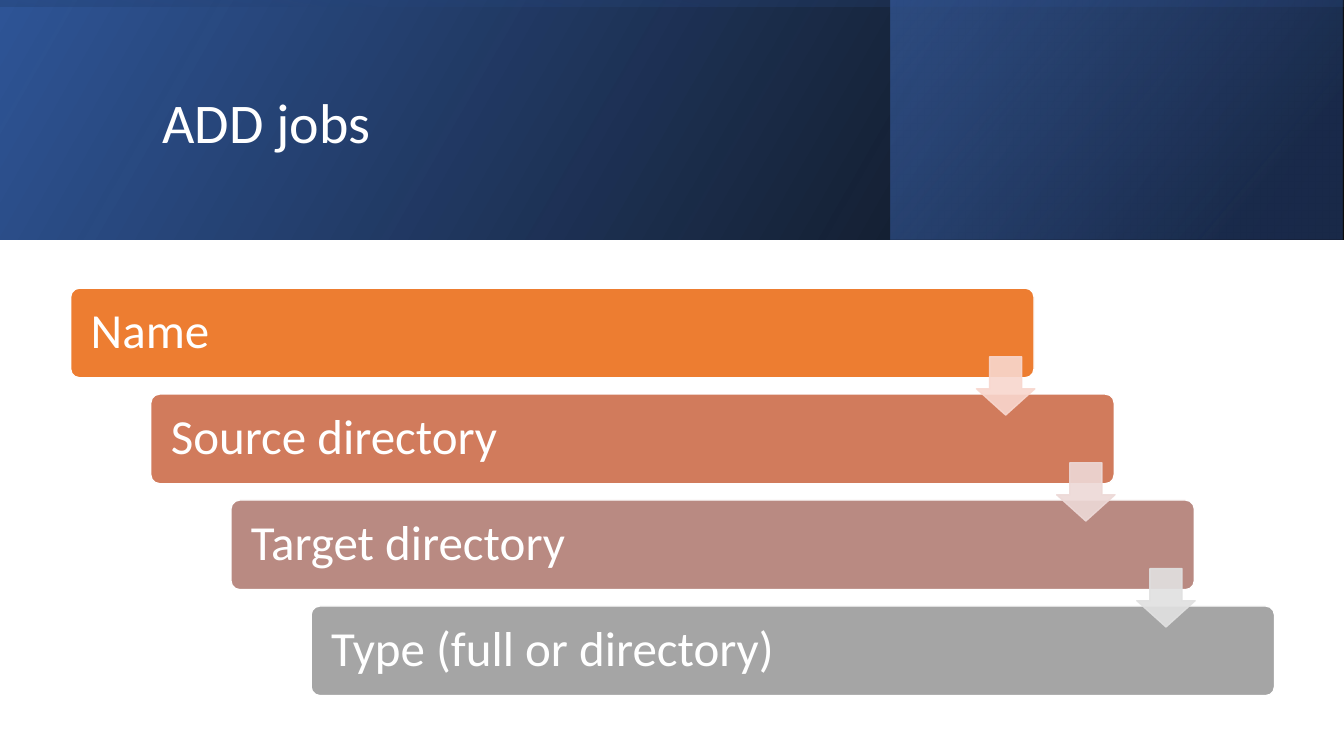
"""Build the "ADD jobs" slide: a gradient banner above a staircase of steps."""
from pptx import Presentation
from pptx.dml.color import RGBColor
from pptx.enum.shapes import MSO_SHAPE as Preset
from pptx.enum.text import MSO_ANCHOR as Anchor, PP_ALIGN as Align
from pptx.oxml.ns import qn
from pptx.oxml.xmlchemy import OxmlElement
from pptx.util import Cm, Pt

WHITE = RGBColor(0xFF, 0xFF, 0xFF)
BLACK = RGBColor(0x00, 0x00, 0x00)
DEEP_BLUE = RGBColor(0x2F, 0x55, 0x97)
NAVY = RGBColor(0x20, 0x38, 0x64)
BLUE = RGBColor(0x44, 0x72, 0xC4)
ORANGE = RGBColor(0xED, 0x7D, 0x31)
TERRACOTTA = RGBColor(0xD1, 0x7B, 0x5C)
ROSE = RGBColor(0xB9, 0x8A, 0x82)
GRAY = RGBColor(0xA5, 0xA5, 0xA5)
PALE_ORANGE = RGBColor(0xF8, 0xD7, 0xCE)
PALE_ROSE = RGBColor(0xED, 0xD9, 0xD7)
PALE_GRAY = RGBColor(0xE1, 0xE1, 0xE1)

SLIDE_WIDTH, SLIDE_HEIGHT, BANNER_HEIGHT = 33.87, 19.05, 6.03
STEP_LEFT, STEP_TOP, STEP_WIDTH, STEP_HEIGHT = 1.78, 7.26, 24.28, 2.26
STEP_RIGHT, STEP_DOWN = 2.02, 2.67
ARROW_RIGHT, ARROW_DOWN, ARROW_SIZE = 22.83, 1.73, 1.47

STEPS = [
    ("Name", ORANGE),
    ("Source directory", TERRACOTTA),
    ("Target directory", ROSE),
    ("Type (full or directory)", GRAY),
]
ARROWS = [PALE_ORANGE, PALE_ROSE, PALE_GRAY]


def set_opacity(element, percent):
    """Give every RGB colour inside the element the opacity."""
    for color in element.iter(qn("a:srgbClr")):
        alpha = OxmlElement("a:alpha")
        alpha.set("val", str(percent * 1000))
        color.append(alpha)


def write_text(text_frame, text, size, anchor=Anchor.MIDDLE):
    """Write one left-aligned white line of text."""
    text_frame.word_wrap = True
    text_frame.vertical_anchor = anchor
    paragraph = text_frame.paragraphs[0]
    paragraph.alignment = Align.LEFT
    paragraph.line_spacing = 0.9
    run = paragraph.add_run()
    run.text = text
    run.font.name = "Calibri"
    run.font.size = Pt(size)
    run.font.color.rgb = WHITE


def add_shape(slide, preset, left, top, width, height):
    """Add a preset shape without shadow, measured in centimetres."""
    shape = slide.shapes.add_shape(preset, Cm(left), Cm(top), Cm(width), Cm(height))
    shape.shadow.inherit = False
    return shape


def add_gradient(slide, left, top, width, height, stops, angle, rotation=0):
    """Add a mirrored rectangle with a two-stop translucent gradient."""
    shape = add_shape(slide, Preset.RECTANGLE, left, top, width, height)
    shape.rotation = rotation
    shape._element.spPr.find(qn("a:xfrm")).set("flipH", "1")
    shape.line.fill.background()
    shape.fill.gradient()
    shape.fill.gradient_angle = angle
    elements = shape._element.spPr.iter(qn("a:gs"))
    for stop, element, values in zip(shape.fill.gradient_stops, elements, stops):
        stop.position, stop.color.rgb, opacity = values
        set_opacity(element, opacity)


def add_banner(slide):
    """Layer the three gradients behind the title."""
    add_gradient(slide, 0, 0, SLIDE_WIDTH, BANNER_HEIGHT,
                 [(0, BLACK, 96), (1, DEEP_BLUE, 100)], angle=30)
    add_gradient(slide, 22.45, 0, 11.39, BANNER_HEIGHT,
                 [(0.19, NAVY, 68), (1, BLUE, 48)], angle=40)
    offset = (SLIDE_WIDTH - BANNER_HEIGHT) / 2
    add_gradient(slide, offset, -offset, BANNER_HEIGHT, SLIDE_WIDTH,
                 [(0.23, DEEP_BLUE, 16), (0.99, BLACK, 45)], angle=10, rotation=270)


def add_title(slide, text):
    """Move the title placeholder onto the banner and fill it."""
    title = slide.shapes.title
    title.left, title.top, title.width, title.height = Cm(3.84), Cm(0.97), Cm(27), Cm(4.37)
    write_text(title.text_frame, text, size=40)
    slide.shapes._spTree.append(title._element)


def add_step(slide, index, text, color):
    """Add one stair of the process."""
    shape = add_shape(slide, Preset.ROUNDED_RECTANGLE, STEP_LEFT + index * STEP_RIGHT,
                      STEP_TOP + index * STEP_DOWN, STEP_WIDTH, STEP_HEIGHT)
    shape.adjustments[0] = 0.1
    shape.fill.solid()
    shape.fill.fore_color.rgb = color
    shape.line.color.rgb = WHITE
    shape.line.width = Pt(1)
    shape.text_frame.margin_left = Cm(0.44)
    write_text(shape.text_frame, text, size=35)


def add_arrow(slide, index, color):
    """Add the arrow that leads from one stair to the next."""
    shape = add_shape(slide, Preset.DOWN_ARROW,
                      STEP_LEFT + index * STEP_RIGHT + ARROW_RIGHT,
                      STEP_TOP + index * STEP_DOWN + ARROW_DOWN, ARROW_SIZE, ARROW_SIZE)
    shape.adjustments[0] = 0.55
    shape.adjustments[1] = 0.45
    shape.fill.solid()
    shape.fill.fore_color.rgb = color
    shape.line.color.rgb = color
    shape.line.width = Pt(1)
    set_opacity(shape._element.spPr, 90)


def main():
    """Create the presentation and save it."""
    presentation = Presentation()
    presentation.slide_width = Cm(SLIDE_WIDTH)
    presentation.slide_height = Cm(SLIDE_HEIGHT)
    slide = presentation.slides.add_slide(presentation.slide_layouts[5])
    add_banner(slide)
    add_title(slide, "ADD jobs")
    for index, (text, color) in enumerate(STEPS):
        add_step(slide, index, text, color)
    for index, color in enumerate(ARROWS):
        add_arrow(slide, index, color)
    presentation.save("out.pptx")


if __name__ == "__main__":
    main()
